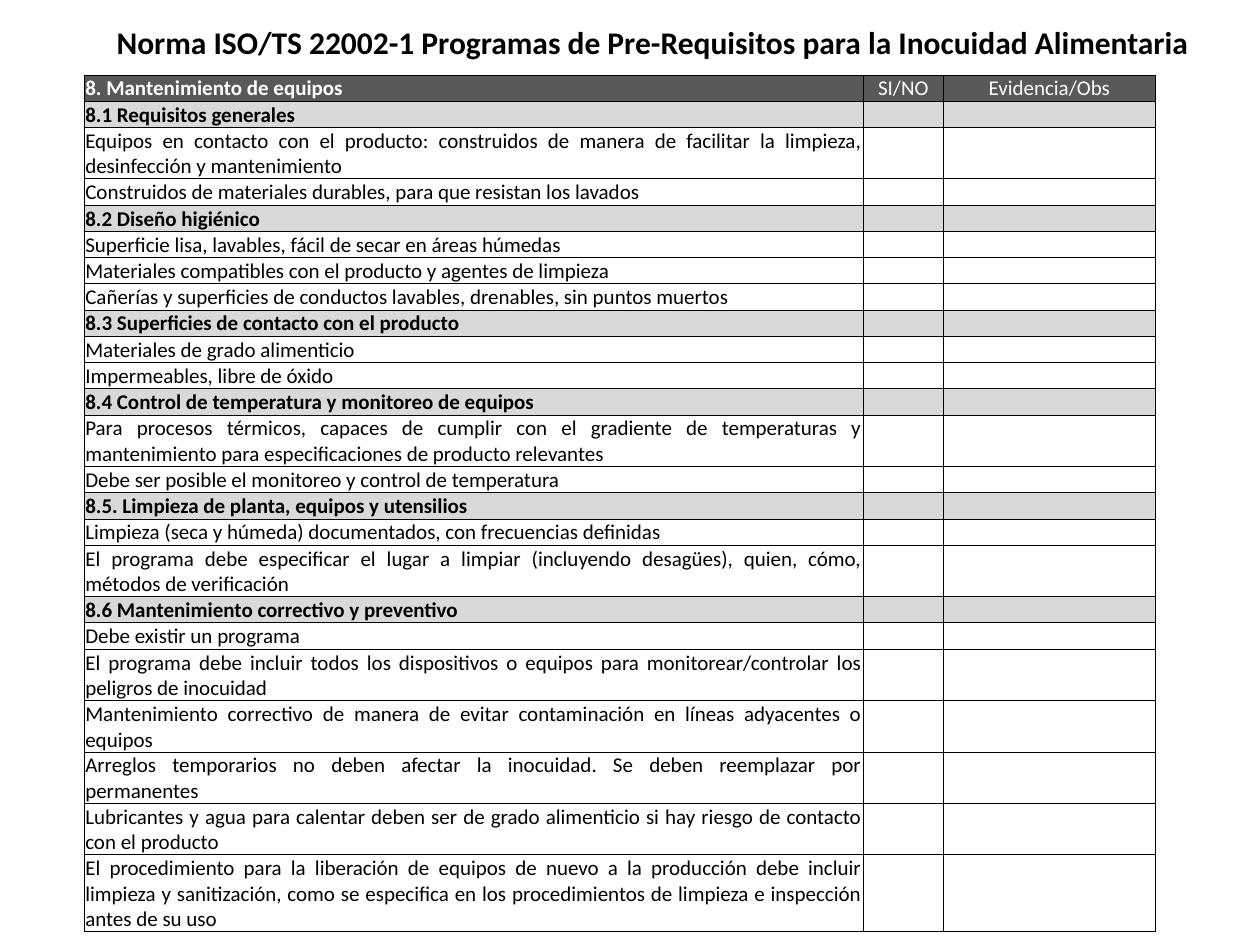
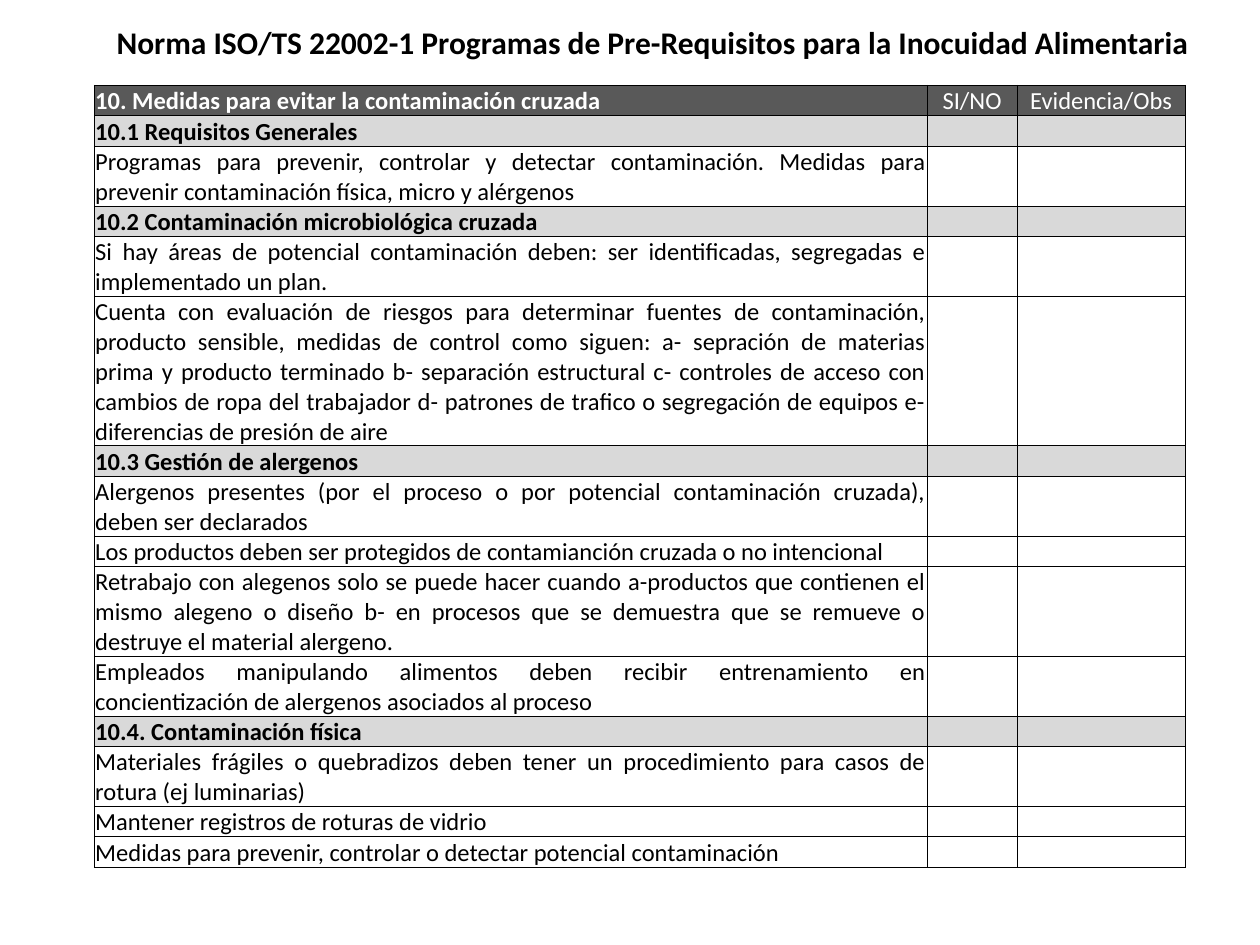
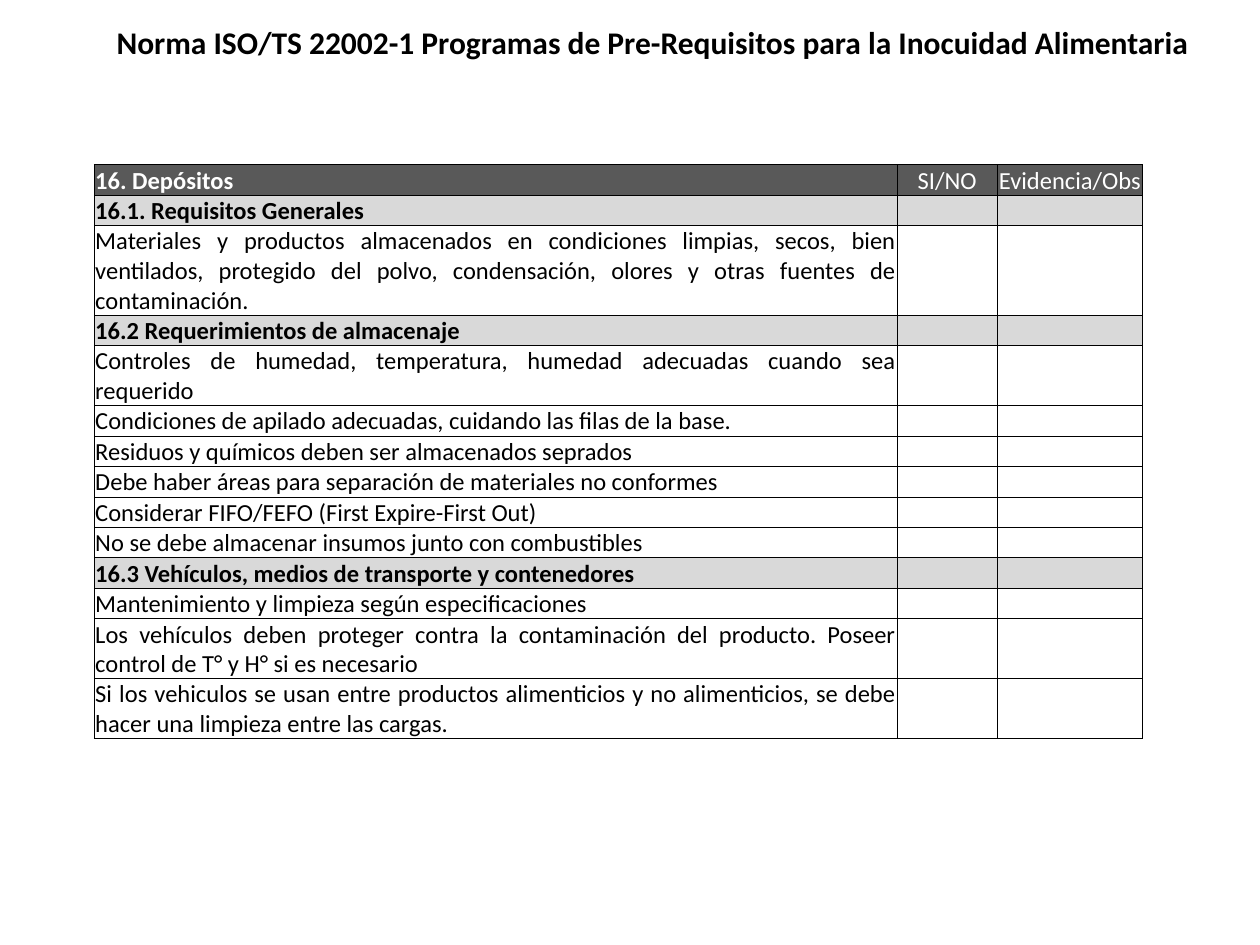
from dataclasses import dataclass
from math import ceil

from lxml.etree import SubElement
from pptx import Presentation
from pptx.dml.color import RGBColor
from pptx.enum.text import MSO_ANCHOR, PP_ALIGN
from pptx.oxml.ns import qn
from pptx.util import Cm, Pt

BLACK = RGBColor(0x00, 0x00, 0x00)
WHITE = RGBColor(0xFF, 0xFF, 0xFF)
DARK_GREY = RGBColor(0x59, 0x59, 0x59)
LIGHT_GREY = RGBColor(0xD9, 0xD9, 0xD9)

FONT = "Calibri"
BORDER_WIDTH = Pt(0.5)
CELL_INSET = Cm(0.02)
LINE_HEIGHT_PER_POINT = 0.043
TITLE = "Norma ISO/TS 22002-1 Programas de Pre-Requisitos para la Inocuidad Alimentaria"
ANSWER_HEADINGS = ("SI/NO", "Evidencia/Obs")


@dataclass
class Checklist:
    heading: str
    sections: dict
    left: float
    top: float
    column_widths: tuple
    font_size: int
    characters_per_line: int


CHECKLISTS = [
    Checklist(
        heading="8. Mantenimiento de equipos",
        left=1.7, top=1.51, column_widths=(15.7, 1.62, 4.27),
        font_size=12, characters_per_line=80,
        sections={
            "8.1 Requisitos generales": [
                "Equipos en contacto con el producto: construidos de manera de facilitar "
                "la limpieza, desinfección y mantenimiento",
                "Construidos de materiales durables, para que resistan los lavados",
            ],
            "8.2 Diseño higiénico": [
                "Superficie lisa, lavables, fácil de secar en áreas húmedas",
                "Materiales compatibles con el producto y agentes de limpieza",
                "Cañerías y superficies de conductos lavables, drenables, sin puntos muertos",
            ],
            "8.3 Superficies de contacto con el producto": [
                "Materiales de grado alimenticio",
                "Impermeables, libre de óxido",
            ],
            "8.4 Control de temperatura y monitoreo de equipos": [
                "Para procesos térmicos, capaces de cumplir con el gradiente de temperaturas "
                "y mantenimiento para especificaciones de producto relevantes",
                "Debe ser posible el monitoreo y control de temperatura",
            ],
            "8.5. Limpieza de planta, equipos y utensilios": [
                "Limpieza (seca y húmeda) documentados, con frecuencias definidas",
                "El programa debe especificar el lugar a limpiar (incluyendo desagües), "
                "quien, cómo, métodos de verificación",
            ],
            "8.6 Mantenimiento correctivo y preventivo": [
                "Debe existir un programa",
                "El programa debe incluir todos los dispositivos o equipos para "
                "monitorear/controlar los peligros de inocuidad",
                "Mantenimiento correctivo de manera de evitar contaminación en líneas "
                "adyacentes o equipos",
                "Arreglos temporarios no deben afectar la inocuidad. Se deben reemplazar "
                "por permanentes",
                "Lubricantes y agua para calentar deben ser de grado alimenticio si hay "
                "riesgo de contacto con el producto",
                "El procedimiento para la liberación de equipos de nuevo a la producción "
                "debe incluir limpieza y sanitización, como se especifica en los "
                "procedimientos de limpieza e inspección antes de su uso",
            ],
        },
    ),
    Checklist(
        heading="10. Medidas para evitar la contaminación cruzada",
        left=1.9, top=1.72, column_widths=(16.79, 1.81, 3.4),
        font_size=14, characters_per_line=76,
        sections={
            "10.1 Requisitos Generales": [
                "Programas para prevenir, controlar y detectar contaminación. Medidas para "
                "prevenir contaminación física, micro y alérgenos",
            ],
            "10.2 Contaminación microbiológica cruzada": [
                "Si hay áreas de potencial contaminación deben: ser identificadas, "
                "segregadas e implementado un plan.",
                "Cuenta con evaluación de riesgos para determinar fuentes de contaminación, "
                "producto sensible, medidas de control como siguen: a- sepración de materias "
                "prima y producto terminado b- separación estructural c- controles de acceso "
                "con cambios de ropa del trabajador d- patrones de trafico o segregación de "
                "equipos e- diferencias de presión de aire",
            ],
            "10.3 Gestión de alergenos": [
                "Alergenos presentes (por el proceso o por potencial contaminación cruzada), "
                "deben ser declarados",
                "Los productos deben ser protegidos de contamianción cruzada o no intencional",
                "Retrabajo con alegenos solo se puede hacer cuando a-productos que contienen "
                "el mismo alegeno o diseño b- en procesos que se demuestra que se remueve o "
                "destruye el material alergeno.",
                "Empleados manipulando alimentos deben recibir entrenamiento en "
                "concientización de alergenos asociados al proceso",
            ],
            "10.4. Contaminación física": [
                "Materiales frágiles o quebradizos deben tener un procedimiento para casos "
                "de rotura (ej luminarias)",
                "Mantener registros de roturas de vidrio",
                "Medidas para prevenir, controlar o detectar potencial contaminación",
            ],
        },
    ),
    Checklist(
        heading="16. Depósitos",
        left=1.9, top=3.32, column_widths=(16.19, 2.01, 2.94),
        font_size=14, characters_per_line=70,
        sections={
            "16.1. Requisitos Generales": [
                "Materiales y productos almacenados en condiciones limpias, secos, bien "
                "ventilados, protegido del polvo, condensación, olores y otras fuentes de "
                "contaminación.",
            ],
            "16.2 Requerimientos de almacenaje": [
                "Controles de humedad, temperatura, humedad adecuadas cuando sea requerido",
                "Condiciones de apilado adecuadas, cuidando las filas de la base.",
                "Residuos y químicos deben ser almacenados seprados",
                "Debe haber áreas para separación de materiales no conformes",
                "Considerar FIFO/FEFO (First Expire-First Out)",
                "No se debe almacenar insumos junto con combustibles",
            ],
            "16.3 Vehículos, medios de transporte y contenedores": [
                "Mantenimiento y limpieza según especificaciones",
                "Los vehículos deben proteger contra la contaminación del producto. Poseer "
                "control de T° y H° si es necesario",
                "Si los vehiculos se usan entre productos alimenticios y no alimenticios, "
                "se debe hacer una limpieza entre las cargas.",
            ],
        },
    ),
]


def write_text(paragraph, text, size, bold=False, color=BLACK, alignment=PP_ALIGN.LEFT):
    paragraph.alignment = alignment
    if not text:
        paragraph._p.get_or_add_endParaRPr().set("sz", str(size * 100))
        return
    run = paragraph.add_run()
    run.text = text
    run.font.name = FONT
    run.font.size = Pt(size)
    run.font.bold = bold
    run.font.color.rgb = color


def add_borders(cell):
    properties = cell._tc.get_or_add_tcPr()
    for side in ("a:lnL", "a:lnR", "a:lnT", "a:lnB"):
        line = SubElement(properties, qn(side), w=str(BORDER_WIDTH))
        fill = SubElement(line, qn("a:solidFill"))
        SubElement(fill, qn("a:srgbClr"), val=str(BLACK))


def fill_cell(cell, text, fill_color=None, **text_format):
    cell.margin_left = cell.margin_right = cell.margin_top = CELL_INSET
    cell.margin_bottom = 0
    cell.vertical_anchor = MSO_ANCHOR.MIDDLE
    add_borders(cell)
    if fill_color is None:
        cell.fill.background()
    else:
        cell.fill.solid()
        cell.fill.fore_color.rgb = fill_color
    write_text(cell.text_frame.paragraphs[0], text, **text_format)


def add_title(slide, left, top, width, height):
    text_frame = slide.shapes.add_textbox(left, top, width, height).text_frame
    text_frame.word_wrap = True
    write_text(text_frame.paragraphs[0], TITLE, size=18, bold=True)


def checklist_rows(checklist):
    yield (checklist.heading, *ANSWER_HEADINGS), DARK_GREY, WHITE, True
    for section, requirements in checklist.sections.items():
        yield (section, "", ""), LIGHT_GREY, BLACK, True
        for requirement in requirements:
            yield (requirement, "", ""), None, BLACK, False


def add_checklist(slide, checklist, left, top):
    rows = list(checklist_rows(checklist))
    line_height = checklist.font_size * LINE_HEIGHT_PER_POINT
    line_counts = [ceil(len(texts[0]) / checklist.characters_per_line) for texts, *_ in rows]
    table = slide.shapes.add_table(
        len(rows), len(checklist.column_widths), left, top,
        Cm(sum(checklist.column_widths)), Cm(line_height * sum(line_counts)),
    ).table
    table.first_row = table.horz_banding = False
    for column, width in zip(table.columns, checklist.column_widths):
        column.width = Cm(width)
    for table_row, line_count, (texts, fill_color, color, bold) in zip(table.rows, line_counts, rows):
        table_row.height = Cm(line_height * line_count)
        for index, (cell, text) in enumerate(zip(table_row.cells, texts)):
            fill_cell(
                cell, text, fill_color, size=checklist.font_size, color=color,
                bold=bold and index == 0,
                alignment=PP_ALIGN.CENTER if index else PP_ALIGN.JUSTIFY,
            )


def main():
    presentation = Presentation()
    presentation.slide_width = Cm(25.4)
    presentation.slide_height = Cm(19.05)
    for checklist in CHECKLISTS:
        slide = presentation.slides.add_slide(presentation.slide_layouts[6])
        add_title(slide, Cm(2.1), Cm(0.33), Cm(22.2), Cm(1.8))
        add_checklist(slide, checklist, Cm(checklist.left), Cm(checklist.top))
    presentation.save("out.pptx")


if __name__ == "__main__":
    main()
